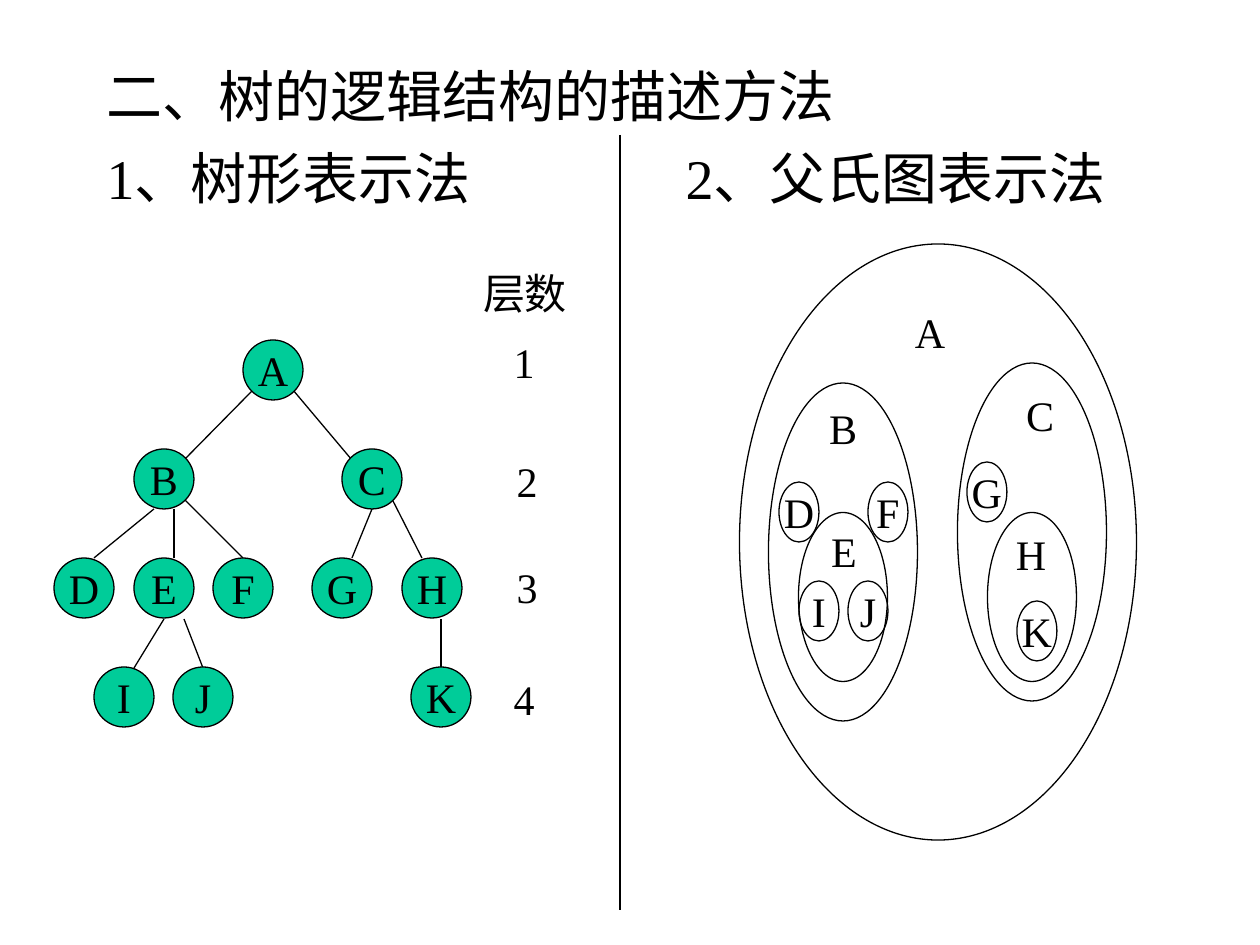
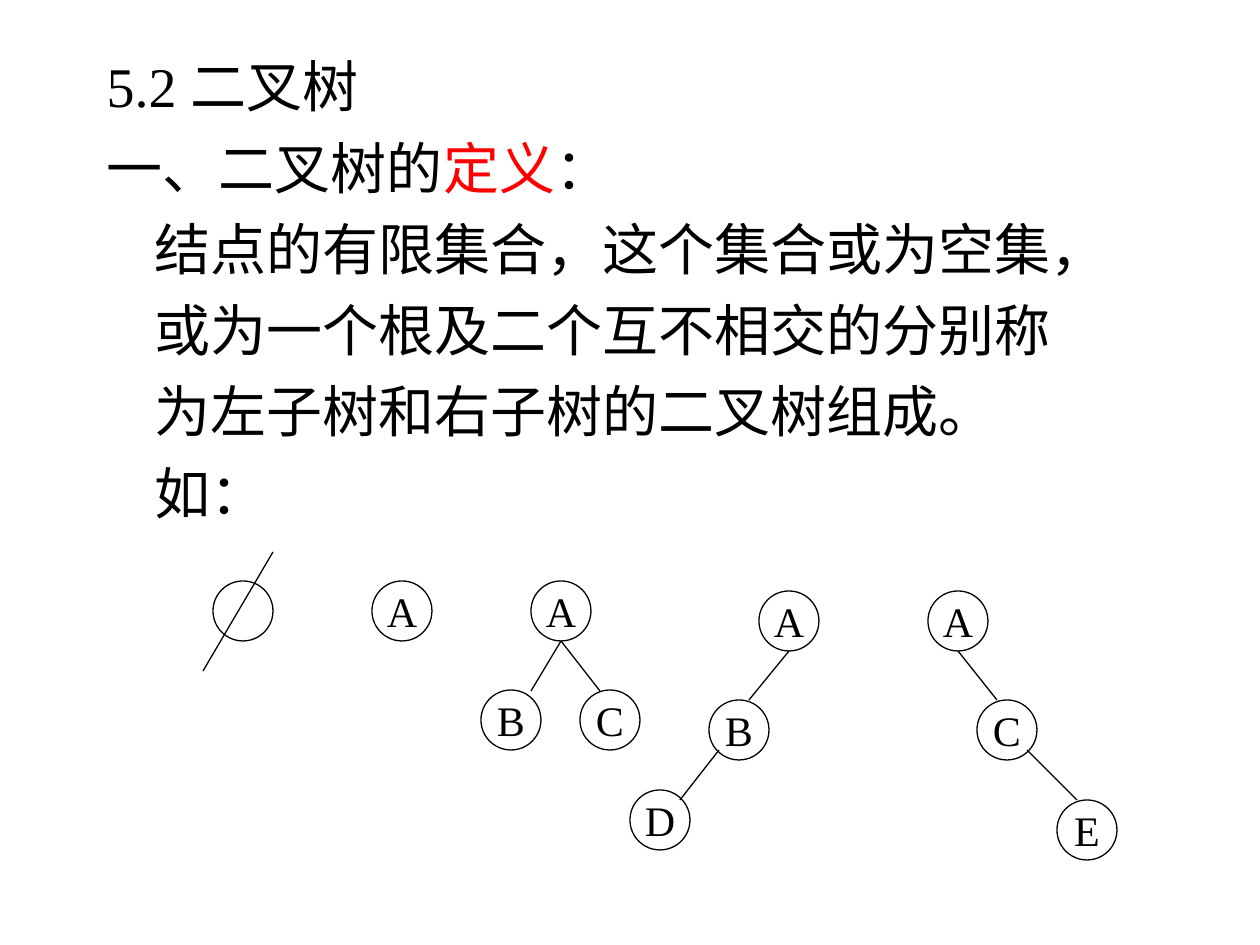
"""Build two slides on describing trees and defining binary trees."""
from typing import Any, NamedTuple

from lxml import etree
from pptx import Presentation
from pptx.dml.color import RGBColor
from pptx.enum.lang import MSO_LANGUAGE_ID
from pptx.enum.shapes import MSO_CONNECTOR, MSO_SHAPE
from pptx.enum.text import MSO_ANCHOR, MSO_AUTO_SIZE, PP_ALIGN
from pptx.oxml.ns import qn
from pptx.util import Emu, Pt

OVAL = MSO_SHAPE.OVAL
LINE = MSO_CONNECTOR.STRAIGHT
LEFT, MID = PP_ALIGN.LEFT, PP_ALIGN.CENTER
TOP, MIDDLE = MSO_ANCHOR.TOP, MSO_ANCHOR.MIDDLE
FIXED = MSO_AUTO_SIZE.NONE
CHINESE = MSO_LANGUAGE_ID.SIMPLIFIED_CHINESE

SCALE = 914400 / 126
COLORS = {"ink": "000000", "node": "00CC99", "key": "FF0000"}
FONT = {"name": "Times New Roman", "bold": False, "language_id": CHINESE}
BIG = {**FONT, "size": Pt(32)}
SMALL = {**FONT, "size": Pt(24)}
LEAD = {"alignment": LEFT, "line_spacing": 1.0, "space_after": Pt(0)}
PAGE = {"word_wrap": True, "auto_size": FIXED, "vertical_anchor": TOP}
LABEL = {"word_wrap": False, "auto_size": FIXED, "vertical_anchor": MIDDLE}
SIZE = 60
HEAD = 82
INDENT = 48
EDGE_X, WIDE = 94, 1071


class Ring(NamedTuple):
    """An ellipse given by its centre and size."""
    text: str
    x: int
    y: int
    wide: int = SIZE
    high: int = SIZE
    fill: str = ""


class Mark(NamedTuple):
    """A free label given by its centre."""
    text: str
    x: int
    y: int


class Edge(NamedTuple):
    """A straight line between two points."""
    x: int
    y: int
    to_x: int
    to_y: int


class Span(NamedTuple):
    """A stretch of text in one colour."""
    text: str
    color: str = "ink"


class Para(NamedTuple):
    """A paragraph with its left indent."""
    spans: list[Span]
    indent: int = 0


class Column(NamedTuple):
    """A block of paragraphs with its left edge and width."""
    paras: list[Para]
    x: int = EDGE_X
    wide: int = WIDE


def px(size: float) -> Emu:
    """Turn pixels into EMU."""
    return Emu(round(size * SCALE))


def style(item: Any, values: dict[str, Any]) -> None:
    """Set each format value on an item."""
    for name, value in values.items():
        setattr(item, name, value)


def shade(color: str) -> RGBColor:
    """Look up a colour by its role."""
    return RGBColor.from_string(COLORS[color])


def write(para: Any, span: Span, font: dict[str, Any]) -> None:
    """Add one run to a paragraph."""
    run = para.add_run()
    run.text = span.text
    style(run.font, font)
    run.font.color.rgb = shade(span.color)


def fill_page(holder: Any, column: Column, top: int) -> None:
    """Move a placeholder and write its paragraphs."""
    style(holder, {"left": px(column.x), "top": px(top),
                   "width": px(column.wide),
                   "height": px(HEAD * len(column.paras))})
    frame = holder.text_frame
    style(frame, PAGE)
    for place, item in enumerate(column.paras):
        para = frame.add_paragraph() if place else frame.paragraphs[0]
        style(para, {**LEAD, "space_before": Pt(8 if place else 0)})
        props = para._p.get_or_add_pPr()
        props.set("marL", str(px(item.indent)))
        props.set("indent", "0")
        etree.SubElement(props, qn("a:buNone"))
        for span in item.spans:
            write(para, span, BIG)


def set_label(shape: Any, text: str) -> None:
    """Centre a short label in a shape."""
    style(shape.text_frame, LABEL)
    para = shape.text_frame.paragraphs[0]
    para.alignment = MID
    write(para, Span(text), SMALL)


def draw_ring(slide: Any, ring: Ring) -> None:
    """Draw an ellipse with its label, if any."""
    shape = slide.shapes.add_shape(
        OVAL, px(ring.x - ring.wide / 2), px(ring.y - ring.high / 2),
        px(ring.wide), px(ring.high))
    shape.shadow.inherit = False
    if ring.fill:
        shape.fill.solid()
        shape.fill.fore_color.rgb = shade(ring.fill)
    else:
        shape.fill.background()
    shape.line.color.rgb = shade("ink")
    shape.line.width = Pt(0.75)
    if ring.text:
        set_label(shape, ring.text)


def draw_mark(slide: Any, mark: Mark) -> None:
    """Draw a label that has no outline."""
    wide = 108 if len(mark.text) > 1 else 54
    box = slide.shapes.add_textbox(
        px(mark.x - wide / 2), px(mark.y - 32), px(wide), px(63))
    set_label(box, mark.text)


def draw_edge(slide: Any, edge: Edge) -> None:
    """Draw a thin line."""
    line = slide.shapes.add_connector(LINE, *(px(value) for value in edge))
    line.line.color.rgb = shade("ink")
    line.line.width = Pt(0.75)
    etree.SubElement(line._element.spPr, qn("a:effectLst"))


def add_page(deck: Any, top: int, title: str, columns: list[Column]) -> Any:
    """Add a slide with its heading and one or two columns of text."""
    layout = deck.slide_layouts[3 if len(columns) > 1 else 1]
    slide = deck.slides.add_slide(layout)
    head, *bodies = slide.placeholders
    fill_page(head, Column([Para([Span(title)])]), top)
    for body, column in zip(bodies, columns):
        fill_page(body, column, top + HEAD)
    return slide


def draw(slide: Any, rings: list[Ring], edges: list[Edge],
         marks: list[Mark]) -> None:
    """Draw the parts of a figure."""
    for edge in edges:
        draw_edge(slide, edge)
    for ring in rings:
        draw_ring(slide, ring)
    for mark in marks:
        draw_mark(slide, mark)


ROWS = [
    {"A": 273},
    {"B": 164, "C": 372},
    {"D": 84, "E": 164, "F": 243, "G": 342, "H": 432},
    {"I": 124, "J": 203, "K": 441},
]
TREE = [Ring(text, x, 370 + 109 * row, fill="node")
        for row, nodes in enumerate(ROWS) for text, x in nodes.items()]
BRANCHES = [
    Edge(253, 390, 184, 460), Edge(293, 390, 352, 460),
    Edge(154, 509, 94, 558), Edge(174, 509, 174, 558),
    Edge(184, 499, 243, 558), Edge(164, 619, 134, 668),
    Edge(184, 619, 203, 668), Edge(372, 509, 352, 558),
    Edge(392, 499, 422, 558), Edge(441, 619, 441, 668),
]
DIVIDER = Edge(620, 135, 620, 910)
LEVELS = [Mark("层数", 525, 293), Mark("1", 524, 362), Mark("2", 527, 481),
          Mark("3", 527, 587), Mark("4", 524, 699)]
SETS = [Ring("", 938, 542, 397, 596), Ring("", 843, 552, 149, 338),
        Ring("", 1032, 532, 149, 338), Ring("", 843, 597, 89, 169),
        Ring("", 1032, 597, 89, 169)]
LEAVES = [Ring(text, x, y, 40, SIZE) for text, x, y in (
    ("D", 799, 512), ("F", 888, 512), ("I", 819, 611),
    ("J", 868, 611), ("G", 987, 492), ("K", 1037, 631))]
NAMES = [Mark("A", 930, 332), Mark("B", 843, 428), Mark("C", 1040, 415),
         Mark("E", 844, 551), Mark("H", 1031, 554)]

CASES = [Ring(*node) for node in (
    ("", 243, 611), ("A", 402, 611),
    ("A", 561, 611), ("B", 511, 720), ("C", 610, 720),
    ("A", 789, 621), ("B", 739, 730), ("D", 660, 820),
    ("A", 958, 621), ("C", 1007, 730), ("E", 1087, 830))]
LINKS = [
    Edge(273, 552, 203, 671), Edge(561, 641, 531, 691),
    Edge(561, 641, 600, 691), Edge(789, 651, 749, 700),
    Edge(719, 750, 680, 800), Edge(958, 651, 997, 700),
    Edge(1027, 750, 1077, 800),
]
METHODS = [Column([Para([Span(text)])], x, 492) for text, x in (
    ("1、树形表示法", EDGE_X), ("2、父氏图表示法", 673))]
MEANING = [Para([Span("一、二叉树的"), Span("定义", "key"), Span("：")])] + [
    Para([Span(text)], INDENT) for text in (
        "结点的有限集合，这个集合或为空集，",
        "或为一个根及二个互不相交的分别称",
        "为左子树和右子树的二叉树组成。",
        "如：")]


def main() -> None:
    """Build and save the slides."""
    deck = Presentation()
    style(deck, {"slide_width": px(1260), "slide_height": px(945)})
    slide = add_page(deck, 55, "二、树的逻辑结构的描述方法", METHODS)
    draw(slide, TREE + SETS + LEAVES, BRANCHES + [DIVIDER], LEVELS + NAMES)
    slide = add_page(deck, 45, "5.2 二叉树", [Column(MEANING)])
    draw(slide, CASES, LINKS, [])
    deck.save("out.pptx")


if __name__ == "__main__":
    main()
